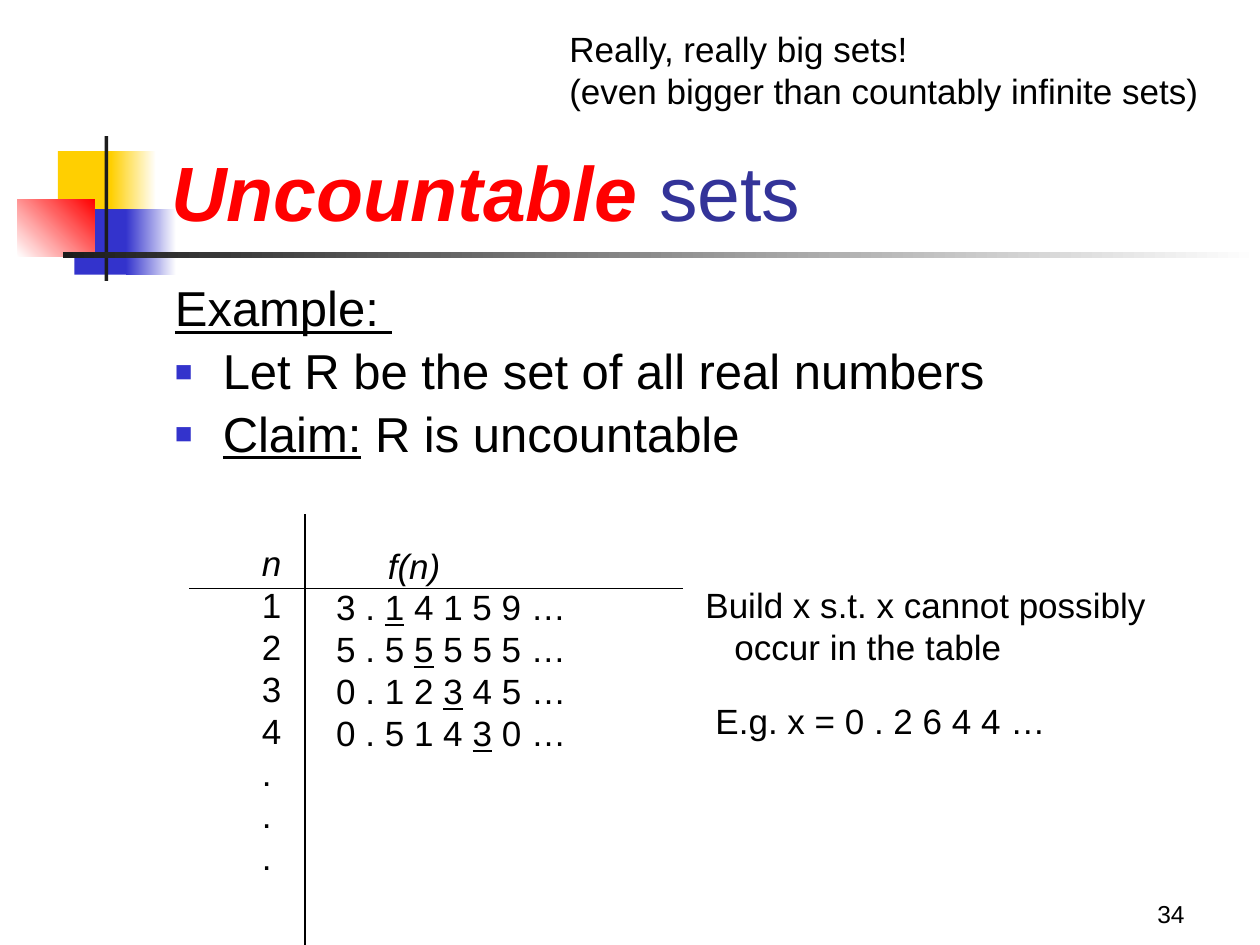
from lxml import etree
from pptx import Presentation
from pptx.dml.color import RGBColor
from pptx.enum import shapes, text
from pptx.oxml import ns
from pptx.util import Inches, Pt

FONT = "Arial"
BLACK = RGBColor(0x00, 0x00, 0x00)
WHITE = RGBColor(0xFF, 0xFF, 0xFF)
CHARCOAL = RGBColor(0x1C, 0x1C, 0x1C)
YELLOW = RGBColor(0xFF, 0xCF, 0x01)
BLUE = RGBColor(0x33, 0x33, 0xCC)
NAVY = RGBColor(0x33, 0x33, 0x99)
RED = RGBColor(0xFF, 0x00, 0x00)


def add_block(slide, box, start, end=None, angle=0):
    """Borderless rectangle, solid or fading from start to end."""
    block = slide.shapes.add_shape(
        shapes.MSO_SHAPE.RECTANGLE, *map(Inches, box))
    block.shadow.inherit = False
    block.line.fill.background()
    if end is None:
        block.fill.solid()
        block.fill.fore_color.rgb = start
        return
    block.fill.gradient()
    block.fill.gradient_angle = angle
    for stop, color, position in zip(block.fill.gradient_stops, (start, end), (0, 1)):
        stop.color.rgb = color
        stop.position = position


def add_rule(slide, x1, y1, x2, y2):
    rule = slide.shapes.add_connector(
        shapes.MSO_CONNECTOR.STRAIGHT, *map(Inches, (x1, y1, x2, y2)))
    rule.line.color.rgb = BLACK
    rule.line.width = Pt(0.75)
    etree.SubElement(rule._element.spPr, ns.qn("a:effectLst"))


def add_run(paragraph, words, size, color=BLACK, bold=False, italic=False, underline=False):
    run = paragraph.add_run()
    run.text = words
    font = run.font
    font.name, font.size, font.color.rgb = FONT, Pt(size), color
    font.bold, font.italic, font.underline = bold, italic, underline


def add_text(slide, box, lines, size=20, wrap=False, anchor=text.MSO_ANCHOR.TOP):
    """Each line is a list of (words, style) runs; returns the paragraphs."""
    frame = slide.shapes.add_textbox(*map(Inches, box)).text_frame
    frame.word_wrap = wrap
    frame.auto_size = text.MSO_AUTO_SIZE.NONE if wrap else text.MSO_AUTO_SIZE.SHAPE_TO_FIT_TEXT
    frame.vertical_anchor = anchor
    for index, runs in enumerate(lines):
        paragraph = frame.add_paragraph() if index else frame.paragraphs[0]
        for words, style in runs:
            add_run(paragraph, words, size, **style)
    return frame.paragraphs


def set_indent(paragraph, left, first=0):
    properties = paragraph._p.get_or_add_pPr()
    properties.set("marL", str(Inches(left)))
    properties.set("indent", str(Inches(first)))
    return properties


def add_bullet(properties):
    color = etree.SubElement(properties, ns.qn("a:buClr"))
    etree.SubElement(color, ns.qn("a:srgbClr"), val=str(BLUE))
    etree.SubElement(properties, ns.qn("a:buSzPct"), val="60000")
    etree.SubElement(properties, ns.qn("a:buFont"), typeface=FONT)
    etree.SubElement(properties, ns.qn("a:buChar"), char="■")


def add_ornament(slide):
    add_block(slide, (0.46, 1.2, 0.48, 0.52), YELLOW)
    add_block(slide, (0.88, 1.2, 0.36, 0.52), YELLOW, WHITE)
    add_block(slide, (0.59, 1.66, 0.46, 0.52), BLUE)
    add_block(slide, (1, 1.66, 0.4, 0.52), BLUE, WHITE)
    add_block(slide, (0.14, 1.58, 0.61, 0.46), WHITE, RED, angle=45)
    add_block(slide, (0.83, 1.08, 0.03, 1.15), CHARCOAL)
    add_block(slide, (0.5, 2, 9.5, 0.05), CHARCOAL, WHITE)


def add_claim(slide):
    underlined = {"underline": True}
    paragraphs = add_text(slide, (1.29, 2.21, 8.5, 2.13), [
        [("Example: ", underlined)],
        [("Let R be the set of all real numbers", {})],
        [("Claim:", underlined), (" R is uncountable", {})],
    ], size=28, wrap=True)
    for index, paragraph in enumerate(paragraphs):
        paragraph.line_spacing = 0.9
        paragraph.space_before = Pt(5.6)
        properties = set_indent(paragraph, 0.38, -0.38)
        if index:
            add_bullet(properties)


def add_diagonal_table(slide):
    """Counting column beside expansions whose diagonal digits are underlined."""
    italic = {"italic": True}
    add_text(slide, (1.98, 4.25, 0.36, 2.77),
             [[("n", italic)]] + [[(mark, {})] for mark in "1234..."])
    add_text(slide, (2.98, 4.27, 0.62, 0.43), [[("f(n)", italic)]])
    expansions = ("3 . 1 4 1 5 9 …", "5 . 5 5 5 5 5 …",
                  "0 . 1 2 3 4 5 …", "0 . 5 1 4 3 0 …")
    rows = []
    for index, digits in enumerate(expansions):
        at = 4 + 2 * index
        rows.append([(digits[:at], {}), (digits[at], {"underline": True}),
                     (digits[at + 1:], {})])
    add_text(slide, (2.57, 4.6, 2.2, 1.43), rows, wrap=True)
    add_rule(slide, 1.5, 4.67, 5.42, 4.67)
    add_rule(slide, 2.42, 4.08, 2.42, 7.5)


def add_remarks(slide):
    add_text(slide, (5.58, 5.5, 2.82, 0.43), [[("E.g. x = 0 . 2 6 4 4 …", {})]])
    build = add_text(slide, (5.42, 4.58, 3.88, 0.77), [
        [("Build x s.t. x cannot possibly", {})],
        [("occur in the table", {})],
    ], wrap=True)
    for paragraph, left in zip(build, (0.08, 0.31)):
        set_indent(paragraph, left)
    add_text(slide, (4.42, 0.17, 5.23, 0.77), [
        [("Really, really big sets!", {})],
        [("(even bigger than countably infinite sets)", {})],
    ])


def main():
    deck = Presentation()
    deck.slide_width, deck.slide_height = Inches(10), Inches(7.5)
    slide = deck.slides.add_slide(deck.slide_layouts[6])

    add_ornament(slide)

    # Page number and title
    page = add_text(slide, (7.42, 6.92, 2.08, 0.5), [[("34", {})]],
                    size=14, wrap=True, anchor=text.MSO_ANCHOR.BOTTOM)
    page[0].alignment = text.PP_ALIGN.RIGHT
    add_text(slide, (1.26, 0.68, 8.52, 1.25), [[
        ("Uncountable", {"color": RED, "bold": True, "italic": True}),
        (" sets", {"color": NAVY}),
    ]], size=44, wrap=True, anchor=text.MSO_ANCHOR.BOTTOM)

    # Content
    add_claim(slide)
    add_diagonal_table(slide)
    add_remarks(slide)
    deck.save("out.pptx")


if __name__ == "__main__":
    main()
